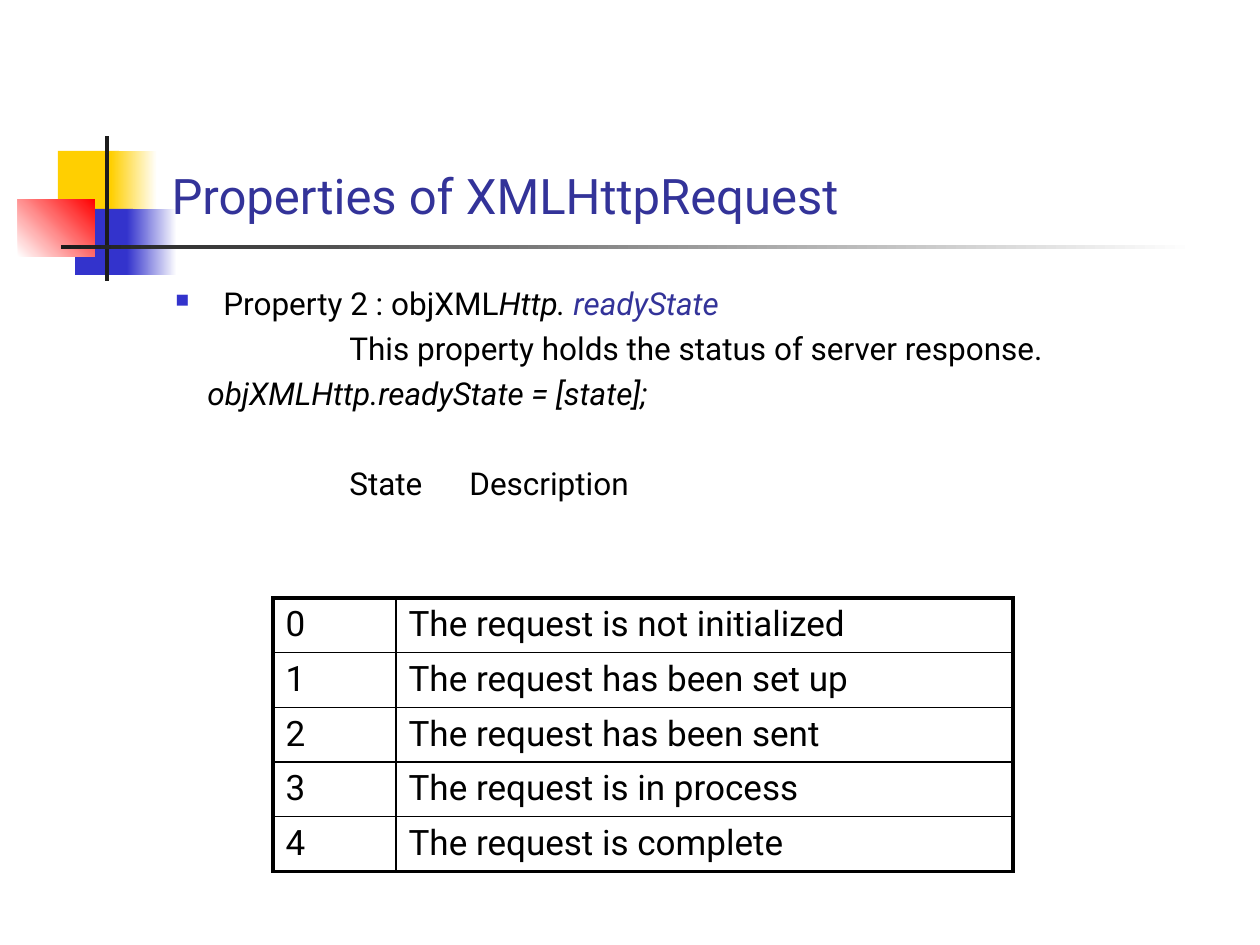
from lxml.etree import SubElement
from pptx import Presentation
from pptx.dml.color import RGBColor
from pptx.enum.shapes import MSO_SHAPE
from pptx.enum.text import MSO_ANCHOR, PP_ALIGN
from pptx.oxml.ns import qn
from pptx.util import Emu, Pt

FONT = "Roboto"
BLACK, NAVY, BLUE = "000000", "333399", "3333CC"
YELLOW, RED, WHITE, CHARCOAL = "FFCF01", "FF0000", "FFFFFF", "1C1C1C"
STATES = [
    "The request is not initialized",
    "The request has been set up",
    "The request has been sent",
    "The request is in process",
    "The request is complete",
]


def px(length):
    """Turn pixels into EMU at 126 px to the inch."""
    return Emu(round(length * 914400 / 126))


def rgb(color):
    """Turn a hex string into a colour."""
    return RGBColor.from_string(color)


def style(font, size, color=BLACK, italic=None):
    """Format a font."""
    font.name, font.size, font.italic = FONT, Pt(size), italic
    font.color.rgb = rgb(color)


def add_block(slide, box, start, end=None, angle=0):
    """Add a rectangle with a solid fill, or a gradient if it has an end colour."""
    block = slide.shapes.add_shape(MSO_SHAPE.RECTANGLE, *map(px, box))
    block.shadow.inherit = False
    block.line.fill.background()
    if end is None:
        block.fill.solid()
        block.fill.fore_color.rgb = rgb(start)
        return
    block.fill.gradient()
    block.fill.gradient_angle = angle
    for stop, color in zip(block.fill.gradient_stops, (start, end)):
        stop.color.rgb = rgb(color)


def add_ornament(slide, left, top):
    """Draw the coloured squares and the crossing bars."""
    for x, y, width, height, *colors in (
        (40, 15, 61, 66, YELLOW),
        (93, 15, 46, 66, YELLOW, WHITE),
        (57, 73, 58, 66, BLUE),
        (109, 73, 50, 66, BLUE, WHITE),
        (0, 63, 77, 58, WHITE, RED, 45),
        (87, 0, 4, 145, CHARCOAL),
        (43, 109, 1134, 4, CHARCOAL, WHITE),
    ):
        add_block(slide, (left + x, top + y, width, height), *colors)


def add_title(slide, left, top, width, height):
    """Place the title in front of the ornament."""
    title = slide.shapes.title
    title.left, title.top, title.width, title.height = map(px, (left, top, width, height))
    title.text_frame.text = "Properties of XMLHttpRequest"
    title.text_frame.vertical_anchor = MSO_ANCHOR.BOTTOM
    heading = title.text_frame.paragraphs[0]
    heading.alignment = PP_ALIGN.LEFT
    style(heading.font, 28, NAVY)
    slide.shapes._spTree.append(title._element)


def add_bullet(paragraph, indent):
    """Give a paragraph a hanging square bullet."""
    props = paragraph._p.get_or_add_pPr()
    props.set("marL", str(px(indent)))
    props.set("indent", str(-px(indent)))
    SubElement(SubElement(props, qn("a:buClr")), qn("a:srgbClr"), val=BLUE)
    SubElement(props, qn("a:buSzPct"), val="60000")
    SubElement(props, qn("a:buChar"), char="■")


def add_tabs(paragraph, *stops):
    """Set left tab stops."""
    tabs = SubElement(paragraph._p.get_or_add_pPr(), qn("a:tabLst"))
    for stop in stops:
        SubElement(tabs, qn("a:tab"), pos=str(px(stop)), algn="l")


def add_description(slide, left, top, width, height):
    """Write the property, its meaning, its syntax and the table's captions."""
    frame = slide.shapes.add_textbox(*map(px, (left, top, width, height))).text_frame
    frame.word_wrap = True
    prop = frame.paragraphs[0]
    meaning, syntax, captions = (frame.add_paragraph() for _ in range(3))

    add_bullet(prop, 48)
    style(prop.font, 18)
    for text, color, italic in (
        ("Property 2 : objXML", BLACK, False),
        ("Http.", BLACK, True),
        (" readyState", NAVY, True),
    ):
        run = prop.add_run()
        run.text = text
        run.font.italic = italic
        run.font.color.rgb = rgb(color)

    for paragraph, text, stops, gap, italic in (
        (meaning, "\tThis property holds the status of server response.", (174,), 4.2, False),
        (syntax, "\tobjXMLHttp.readyState = [state];", (32,), 4.2, True),
        (captions, "\tState\tDescription", (174, 294), 29.5, False),
    ):
        add_tabs(paragraph, *stops)
        paragraph.text = text
        paragraph.space_before = Pt(gap)
        style(paragraph.font, 18, italic=italic)


def set_borders(cell, **widths):
    """Draw the cell's borders, with widths in points by side."""
    props = cell._tc.get_or_add_tcPr()
    for side, width in widths.items():
        line = SubElement(props, qn(f"a:ln{side}"), w=str(Pt(width)))
        SubElement(SubElement(line, qn("a:solidFill")), qn("a:srgbClr"), val=BLACK)


def add_states(slide, left, top, columns, row_height):
    """Build the table of states, thick outside and thin inside."""
    thick, thin = 2.25, 1
    last_row, last_column = len(STATES) - 1, len(columns) - 1
    size = sum(columns), row_height * len(STATES)
    table = slide.shapes.add_table(
        len(STATES), len(columns), *map(px, (left, top, *size))
    ).table
    table.first_row = table.horz_banding = False
    for column, width in zip(table.columns, columns):
        column.width = px(width)
    for r, description in enumerate(STATES):
        table.rows[r].height = px(row_height)
        for c, text in enumerate((str(r), description)):
            cell = table.cell(r, c)
            cell.text = text
            style(cell.text_frame.paragraphs[0].font, 20)
            set_borders(
                cell,
                L=thin if c else thick,
                R=thick if c == last_column else thin,
                T=thin if r else thick,
                B=thick if r == last_row else thin,
            )
            cell.fill.background()


def main():
    """Build and save the slide."""
    deck = Presentation()
    deck.slide_width, deck.slide_height = px(1260), px(945)
    slide = deck.slides.add_slide(deck.slide_layouts[5])
    add_ornament(slide, 18, 136)
    add_title(slide, 159, 29, 1074, 202)
    add_description(slide, 163, 278, 960, 646)
    add_states(slide, 273, 598, (123, 617), 54)
    deck.save("out.pptx")


if __name__ == "__main__":
    main()
